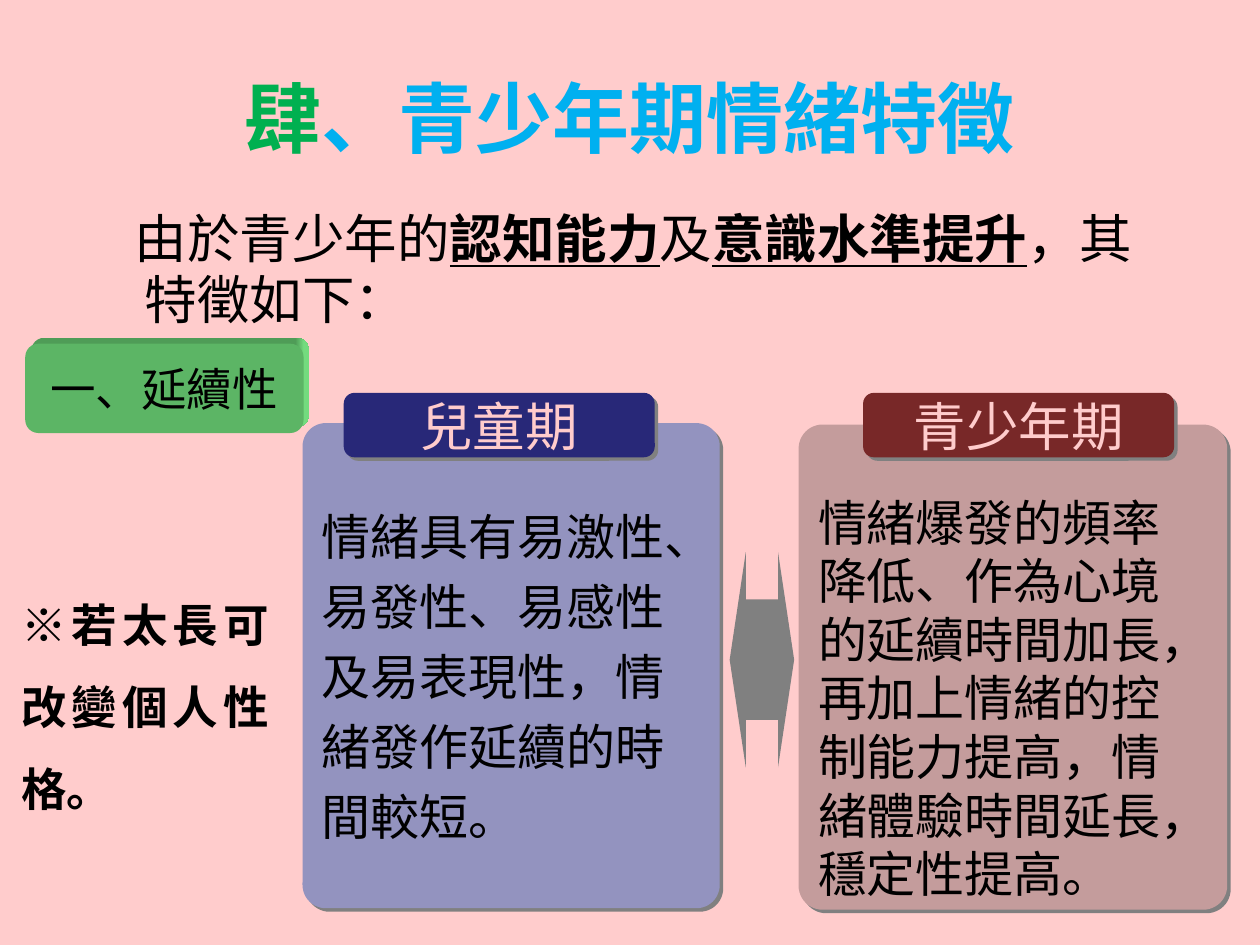
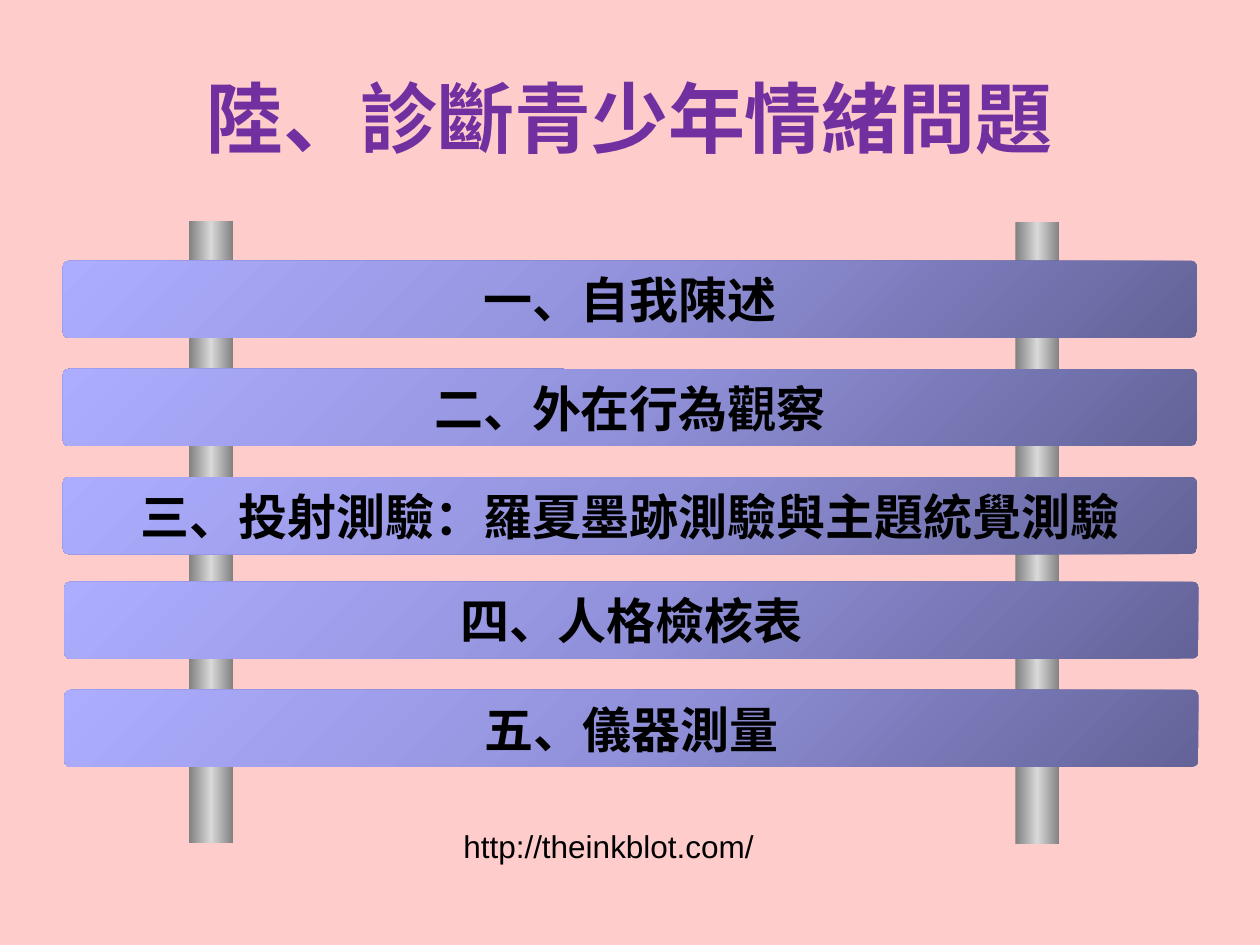
from lxml import etree
from pptx import Presentation, util as u
from pptx.dml.color import RGBColor
from pptx.enum import shapes, text
from pptx.oxml.ns import qn

# Shared look
COLORS = {
    "background": "FFCCCC", "ink": "000000", "green": "00B050", "sky": "00B0F0",
    "purple": "7030A0", "label": "5CB565", "label_top": "4F9C57",
    "label_side": "73DB7E", "child": "9393BF", "child_tag": "282878",
    "teen": "C49C9C", "teen_tag": "782828", "gray": "808080", "silver": "D9D9D9",
    "bar_dark": "636398", "bar_mid": "9191DB", "bar_light": "ADADFF",
}
JP, SC = "Noto Sans CJK JP", "Noto Sans CJK SC"
KIND = shapes.MSO_SHAPE
ALIGN = text.PP_ALIGN
ANCHOR = text.MSO_ANCHOR
STRONG = {"bold": True, "underline": True}
TITLE_BOX = (1.27, 0.76, 22.86, 3.18)
TITLE_FORMAT = {"name": SC, "size": u.Pt(44), "bold": True}

# Slide 1 content; boxes are left, top, width, height in centimetres
FEATURES_TITLE = [("肆", {"color": "green"}), ("、青少年期情緒特徵", {"color": "sky"})]
INTRO = [("由於青少年的", {}), ("認知能力", STRONG), ("及", {}),
         ("意識水準提升", STRONG), ("，其特徵如下：", {})]
LABEL = "一、延續性"
LABEL_BOX = (0.51, 6.93, 5.61, 1.8)
LABEL_DEPTH = 0.12
NOTE = "※若太長可改變個人性格。"
STAGES = [
    {"tag": "兒童期", "tag_left": 6.93, "color": "child",
     "box": (6.1, 8.53, 8.41, 9.78), "anchor": ANCHOR.MIDDLE, "line": 40,
     "body": "情緒具有易激性、易發性、易感性及易表現性，情緒發作延續的時間較短。"},
    {"tag": "青少年期", "tag_left": 17.4, "color": "teen",
     "box": (16.1, 8.56, 8.64, 9.78), "anchor": ANCHOR.BOTTOM, "line": 33.5,
     "body": "情緒爆發的頻率降低、作為心境的延續時間加長，再加上情緒的控制能力提高，"
             "情緒體驗時間延長，穩定性提高。"},
]

# Slide 2 content
DIAGNOSIS_TITLE = [("陸、診斷青少年情緒問題", {"color": "purple"})]
BAR_GROUPS = [
    (1.27, 5.26, ["一、自我陳述", "二、外在行為觀察",
                  "三、投射測驗：羅夏墨跡測驗與主題統覺測驗"]),
    (1.3, 11.73, ["四、人格檢核表", "五、儀器測量"]),
]
BAR_WIDTH, BAR_HEIGHT, BAR_PITCH = 22.86, 1.55, 2.18
POSTS = [(20.47, 4.47), (3.81, 4.45)]
POST_SIZE = (0.89, 12.55)
LINK = "http://theinkblot.com/"
POST_GRADIENT = [(0, "gray"), (50, "silver"), (100, "gray")]
BAR_GRADIENT = [(0, "bar_dark"), (50, "bar_mid"), (100, "bar_light")]


def rgb(name):
    return RGBColor.from_string(COLORS[name])


def lengths(box):
    return [u.Cm(value) for value in box]


def set_all(target, values):
    for name, value in values.items():
        setattr(target, name, value)


def write(shape, runs, font, paragraph_format=None, **frame_format):
    """Fill a shape with one paragraph of (text, format) runs."""
    frame = shape.text_frame
    set_all(frame, {"word_wrap": True, **frame_format})
    paragraph = frame.paragraphs[0]
    set_all(paragraph, paragraph_format or {})
    for words, extra in runs:
        run = paragraph.add_run()
        run.text = words
        values = {"color": "ink", **font, **extra}
        run.font.color.rgb = rgb(values.pop("color"))
        set_all(run.font, values)
        etree.SubElement(run.font._element, qn("a:ea"), typeface=values["name"])
    return paragraph


def add_text(slide, box, runs, font, paragraph_format=None, **frame_format):
    shape = slide.shapes.add_textbox(*lengths(box))
    return write(shape, runs, font, paragraph_format, **frame_format)


def add_block(slide, kind, box, color=None, adjustments=()):
    shape = slide.shapes.add_shape(kind, *lengths(box))
    shape.shadow.inherit = False
    shape.line.fill.background()
    for index, value in enumerate(adjustments):
        shape.adjustments[index] = value
    if color:
        shape.fill.solid()
        shape.fill.fore_color.rgb = rgb(color)
    return shape


def add_shadow(shape):
    effects = shape._element.spPr.find(qn("a:effectLst"))
    shadow = etree.SubElement(effects, qn("a:outerShdw"), blurRad="0",
                              dist=str(u.Pt(2.8)), dir=str(45 * 60000), algn="ctr")
    etree.SubElement(shadow, qn("a:srgbClr"), val=COLORS["gray"])


def paint_gradient(shape, stops, angle):
    """Angle is measured counter-clockwise in degrees."""
    shape.fill.gradient()
    shape.fill.gradient_angle = angle
    stop_list = next(shape._element.spPr.iter(qn("a:gsLst")))
    for old in list(stop_list):
        stop_list.remove(old)
    for position, color in stops:
        stop = etree.SubElement(stop_list, qn("a:gs"), pos=str(position * 1000))
        etree.SubElement(stop, qn("a:srgbClr"), val=COLORS[color])


def centered(shape, words, font):
    write(shape, [(words, {})], font, {"alignment": ALIGN.CENTER},
          word_wrap=False, vertical_anchor=ANCHOR.MIDDLE)


def add_slide(presentation, title):
    slide = presentation.slides.add_slide(presentation.slide_layouts[6])
    slide.background.fill.solid()
    slide.background.fill.fore_color.rgb = rgb("background")
    add_text(slide, TITLE_BOX, title, TITLE_FORMAT, {"alignment": ALIGN.CENTER},
             vertical_anchor=ANCHOR.MIDDLE)
    return slide


def build_features(presentation):
    slide = add_slide(presentation, FEATURES_TITLE)

    # Introduction with a slightly hanging first line
    intro = add_text(slide, (1.7, 4.04, 22.23, 2.79), INTRO,
                     {"name": JP, "size": u.Pt(30)}, {"line_spacing": u.Pt(35.4)})
    properties = intro._p.get_or_add_pPr()
    properties.set("marL", str(u.Cm(0.97)))
    properties.set("indent", str(u.Cm(-0.2)))

    # Raised label: edge behind, face in front
    left, top, width, height = LABEL_BOX
    edge = add_block(slide, KIND.ROUNDED_RECTANGLE,
                     (left + LABEL_DEPTH, top - LABEL_DEPTH, width, height),
                     adjustments=[0.147])
    paint_gradient(edge, [(0, "label_top"), (95, "label_top"),
                          (98, "label_side"), (100, "label_side")], 0)
    face = add_block(slide, KIND.ROUNDED_RECTANGLE, LABEL_BOX, "label", [0.147])
    centered(face, LABEL, {"name": JP, "size": u.Pt(26)})

    # Stage cards with their tags
    for stage in STAGES:
        card = add_block(slide, KIND.ROUNDED_RECTANGLE, stage["box"],
                         stage["color"], [0.056])
        write(card, [(stage["body"], {})], {"name": JP, "size": u.Pt(28)},
              {"alignment": ALIGN.LEFT, "line_spacing": u.Pt(stage["line"])},
              vertical_anchor=stage["anchor"], margin_top=u.Cm(0.2), margin_bottom=0)
        tag = add_block(slide, KIND.ROUNDED_RECTANGLE,
                        (stage["tag_left"], 7.92, 6.27, 1.3),
                        stage["color"] + "_tag", [0.167])
        centered(tag, stage["tag"],
                 {"name": JP, "size": u.Pt(30), "color": "background"})
        add_shadow(card)
        add_shadow(tag)
    add_block(slide, KIND.LEFT_RIGHT_ARROW, (14.71, 11.13, 1.3, 4.34), "gray",
              [0.56, 0.25])

    # Side note
    add_text(slide, (0.18, 11.35, 5.49, 5.26), [(NOTE, {})],
             {"name": JP, "size": u.Pt(26), "bold": True},
             {"alignment": ALIGN.JUSTIFY, "line_spacing": u.Pt(46.9)})


def build_diagnosis(presentation):
    slide = add_slide(presentation, DIAGNOSIS_TITLE)

    # Posts behind the bars
    for position in POSTS:
        post = add_block(slide, KIND.RECTANGLE, position + POST_SIZE)
        paint_gradient(post, POST_GRADIENT, 0)

    # Bars
    for left, top, methods in BAR_GROUPS:
        for index, method in enumerate(methods):
            bar = add_block(slide, KIND.ROUNDED_RECTANGLE,
                            (left, top + index * BAR_PITCH, BAR_WIDTH, BAR_HEIGHT),
                            adjustments=[0.076])
            paint_gradient(bar, BAR_GRADIENT, 135)
            centered(bar, method, {"name": SC, "size": u.Pt(28), "bold": True})

    # Web address
    add_text(slide, (9.09, 16.54, 6.43, 1.02), [(LINK, {})],
             {"name": "Arial", "size": u.Pt(18)}, word_wrap=False)


def main():
    presentation = Presentation()
    presentation.slide_width, presentation.slide_height = u.Cm(25.4), u.Cm(19.05)
    build_features(presentation)
    build_diagnosis(presentation)
    presentation.save("out.pptx")


if __name__ == "__main__":
    main()
